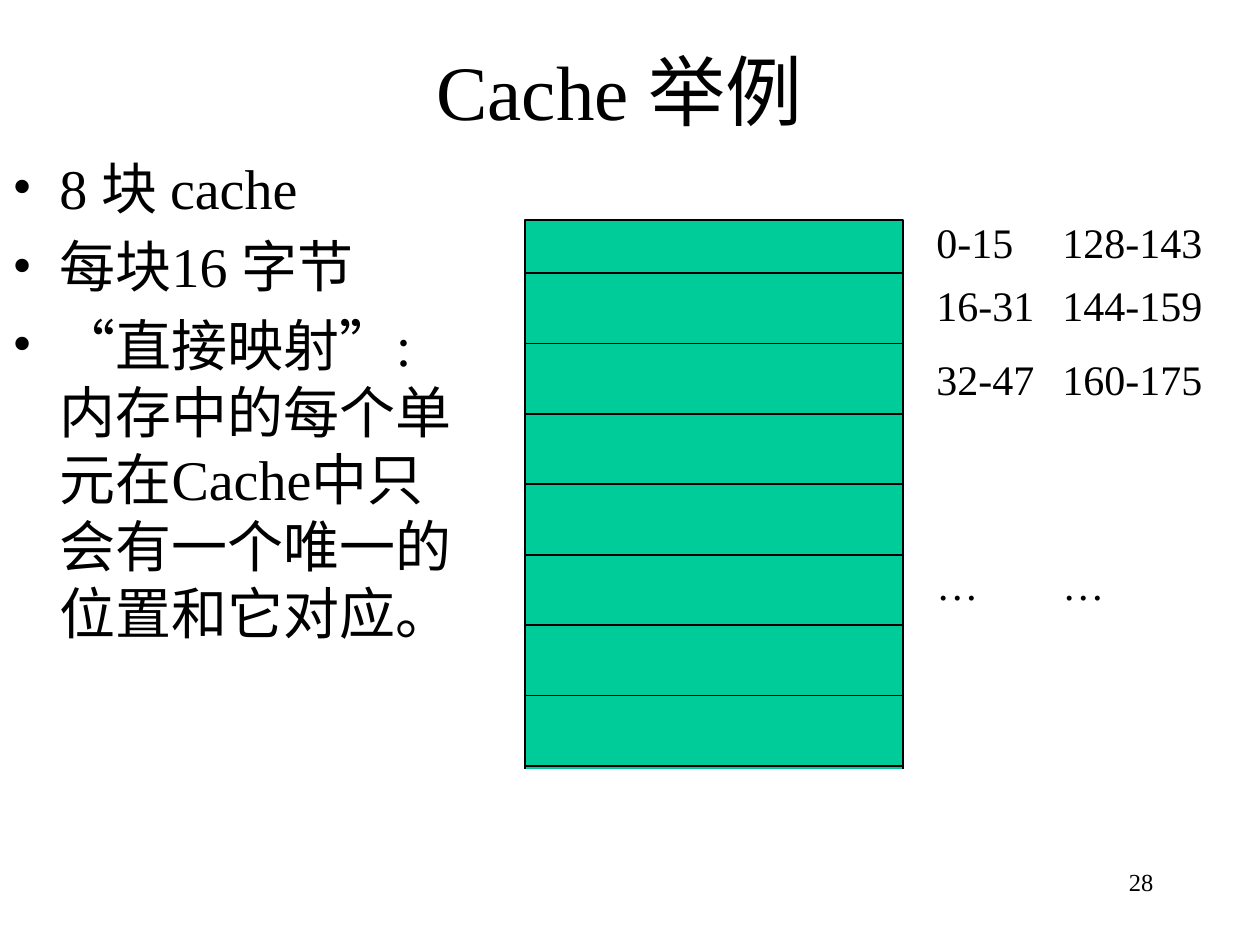
from pptx import Presentation
from pptx.dml.color import RGBColor
from pptx.enum.shapes import MSO_CONNECTOR, MSO_SHAPE
from pptx.enum.text import MSO_ANCHOR, MSO_AUTO_SIZE, PP_ALIGN
from pptx.oxml.ns import qn
from pptx.util import Pt
from lxml.etree import SubElement

SCALE = 914400 / 126
FONT = "Times New Roman"
COLORS = {"ink": "000000", "cache": "00CC99", "paper": "FFFFFF"}
BLOCKS = 8
POINTS = ["8 块 cache", "每块16 字节",
          "“直接映射”: 内存中的每个单元在Cache中只会有一个唯一的位置和它对应。"]
ROWS = [0, 63, 137, 342]
LOW = ["0-15", "16-31", "32-47", "…"]
HIGH = ["128-143", "144-159", "160-175", "…"]


def px(*nums):
    """Turn px lengths into EMU."""
    return [round(num * SCALE) for num in nums]


def color(name):
    """Look up a named colour."""
    return RGBColor.from_string(COLORS[name])


def write(shape, *lines, size=24, align=PP_ALIGN.LEFT, anchor=MSO_ANCHOR.TOP,
          wrap=True, bullet=False, gap=0):
    """Fill a shape with formatted paragraphs."""
    frame = shape.text_frame
    frame.auto_size = MSO_AUTO_SIZE.NONE if wrap else MSO_AUTO_SIZE.SHAPE_TO_FIT_TEXT
    frame.word_wrap = wrap
    frame.vertical_anchor = anchor
    for num, line in enumerate(lines):
        para = frame.add_paragraph() if num else frame.paragraphs[0]
        para.text = line
        para.alignment = align
        para.space_before = Pt(gap if num else 0)
        if bullet:
            props = para._p.get_or_add_pPr()
            indent = px(47)[0]
            props.set("marL", str(indent))
            props.set("indent", str(-indent))
            SubElement(props, qn("a:buFont")).set("typeface", FONT)
            SubElement(props, qn("a:buChar")).set("char", "•")
        for run in para.runs:
            run.font.name = FONT
            run.font.size = Pt(size)
            run.font.color.rgb = color("ink")


def label(slide, box, *lines, **form):
    """Add a text box."""
    write(slide.shapes.add_textbox(*px(*box)), *lines, **form)


def block(slide, box, fill, line):
    """Add a filled rectangle."""
    shape = slide.shapes.add_shape(MSO_SHAPE.RECTANGLE, *px(*box))
    shape.shadow.inherit = False
    shape.fill.solid()
    shape.fill.fore_color.rgb = color(fill)
    shape.line.color.rgb = color(line)
    shape.line.width = Pt(1)


def cache(slide, box):
    """Draw the cache with evenly spaced block lines."""
    left, top, width, height = box
    block(slide, box, "cache", "ink")
    first, last = top + 53, top + 546
    for num in range(BLOCKS):
        level = first + (last - first) * num / (BLOCKS - 1)
        rule = slide.shapes.add_connector(
            MSO_CONNECTOR.STRAIGHT, *px(left, level, left + width, level))
        rule.line.color.rgb = color("ink")
        rule.line.width = Pt(1)
        SubElement(rule._element.spPr, qn("a:effectLst"))


def column(slide, box, names):
    """Place one column of address ranges."""
    left, top, width, height = box
    for name, drop in zip(names, ROWS):
        wide = width if name != "…" else 67
        label(slide, (left, top + drop, wide, height), name, wrap=False)


def heading(slide, box, text):
    """Place the title."""
    title = slide.shapes.title
    title.left, title.top, title.width, title.height = px(*box)
    write(title, text, size=44, align=PP_ALIGN.CENTER, anchor=MSO_ANCHOR.MIDDLE)


def main():
    """Build and save the slide."""
    deck = Presentation()
    deck.slide_width, deck.slide_height = px(1260, 945)
    slide = deck.slides.add_slide(deck.slide_layouts[5])
    label(slide, (904, 861, 262, 63), "28", size=14, align=PP_ALIGN.RIGHT)
    heading(slide, (84, 32, 1071, 116), "Cache 举例")
    label(slide, (0, 147, 473, 777), *POINTS, size=32, bullet=True, gap=6.4)
    cache(slide, (525, 220, 378, 588))
    column(slide, (924, 210, 124, 63), LOW)
    column(slide, (1050, 210, 166, 63), HIGH)
    block(slide, (503, 770, 420, 63), "paper", "paper")
    deck.save("out.pptx")


if __name__ == "__main__":
    main()
